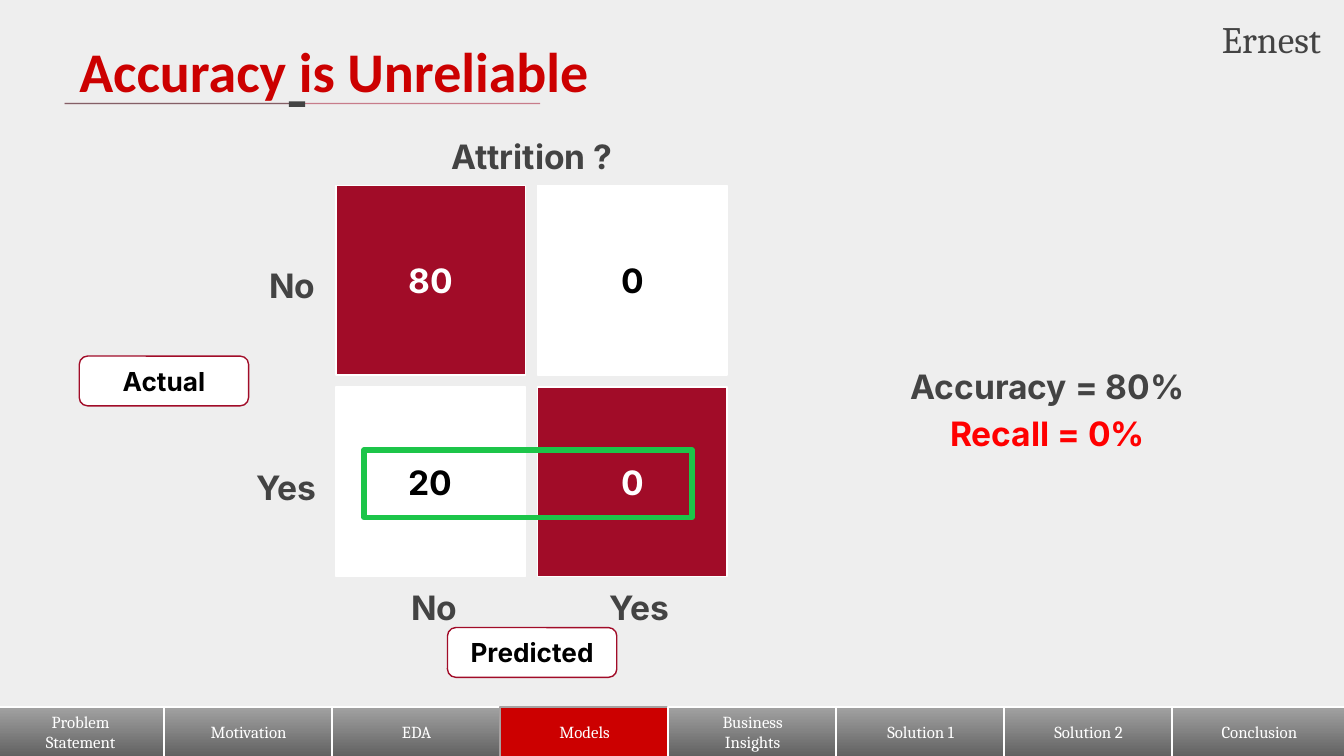
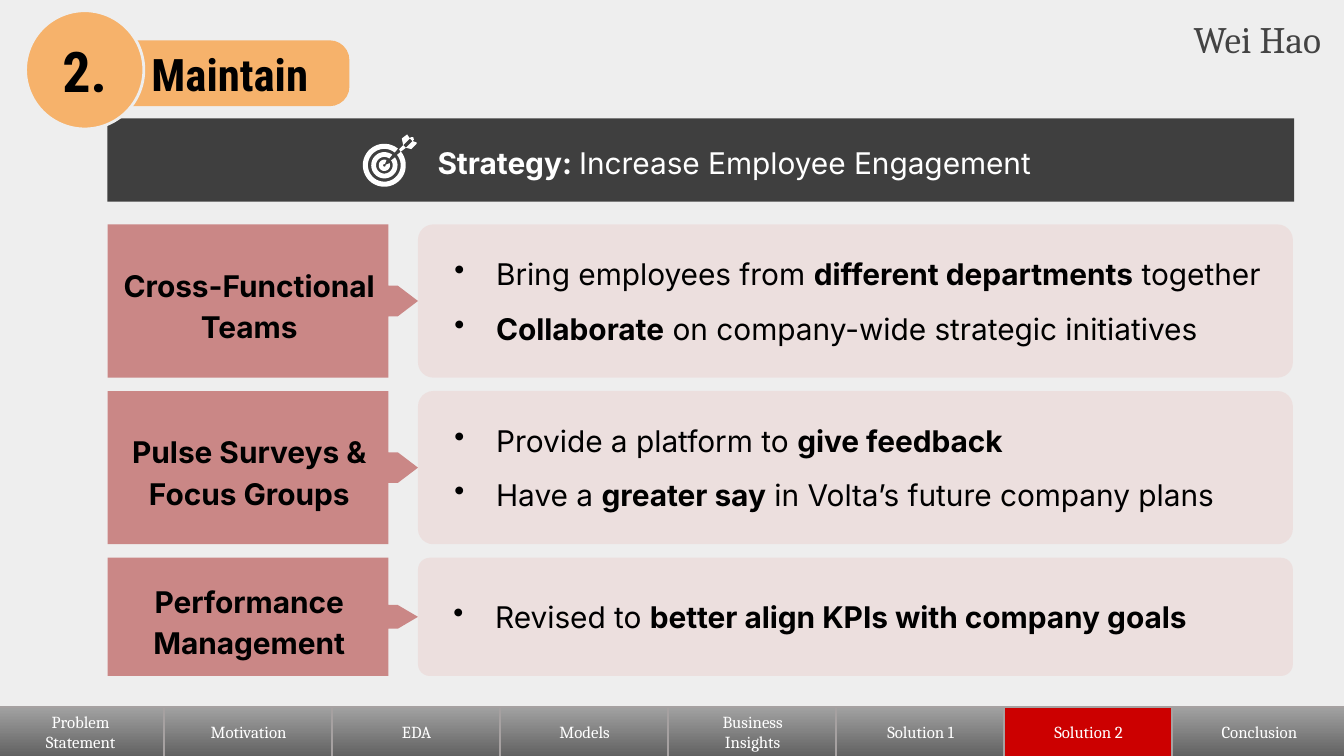
from dataclasses import dataclass
from math import cos, pi, sin

from lxml.etree import SubElement
from pptx import Presentation
from pptx.dml.color import RGBColor
from pptx.enum.shapes import MSO_CONNECTOR, MSO_SHAPE as SHAPE
from pptx.enum.text import MSO_ANCHOR as ANCHOR, MSO_AUTO_SIZE as AUTO_SIZE, PP_ALIGN as ALIGN
from pptx.oxml.ns import qn
from pptx.util import Inches, Pt

# The grid has square cells of a tenth of an inch.
COLUMNS, ROWS = 100, 56.25
TITLE_ONLY, BLANK = 5, 6

WHITE = RGBColor(0xFF, 0xFF, 0xFF)
BLACK = RGBColor(0x00, 0x00, 0x00)
PAPER = RGBColor(0xEE, 0xEE, 0xEE)
INK = RGBColor(0x43, 0x43, 0x43)
CHARCOAL = RGBColor(0x3F, 0x3F, 0x3F)
RED = RGBColor(0xCC, 0x00, 0x00)
BRIGHT_RED = RGBColor(0xFF, 0x00, 0x00)
CRIMSON = RGBColor(0xA1, 0x0C, 0x28)
GREEN = RGBColor(0x1C, 0xC5, 0x49)
ORANGE = RGBColor(0xF6, 0xB2, 0x6B)
ROSE = RGBColor(0xCA, 0x87, 0x86)
CORAL = RGBColor(0xE3, 0x80, 0x75)
TAB_LINE = RGBColor(0xA6, 0xA1, 0xA1)
TAB_TOP = RGBColor(0xA2, 0xA2, 0xA2)
TAB_BOTTOM = RGBColor(0x61, 0x61, 0x61)

SECTIONS = ["Problem\nStatement", "Motivation", "EDA", "Models",
            "Business\nInsights", "Solution 1", "Solution 2", "Conclusion"]
MATRIX = [[80, 0], [20, 0]]
ACTIONS = [
    ("Cross-Functional Teams", 11.4,
     ["Bring employees from *different departments* together",
      "*Collaborate* on company-wide strategic initiatives"]),
    ("Pulse Surveys & Focus Groups", 11.4,
     ["Provide a platform to *give feedback*",
      "Have a *greater say* in Volta’s future company plans"]),
    ("Performance Management", 8.8,
     ["Revised to *better align KPIs with company goals*"]),
]


@dataclass(frozen=True)
class Style:
    font: str
    size: float
    color: RGBColor
    bold: bool = False


TAB = Style("Cambria", 9, WHITE)
AUTHOR = Style("Cambria", 20, INK)
TITLE = Style("Calibri", 30, RED, True)
LABEL = Style("Inter", 18, INK, True)
KEY = Style("Inter", 14, BLACK, True)
BODY = Style("Inter", 16, BLACK)
BODY_BOLD = Style("Inter", 16, BLACK, True)
BANNER = Style("Inter", 16, WHITE)


def grid(*cells):
    return [Inches(cell / 10) for cell in cells]


def format_run(run, style, bold=None):
    font = run.font
    font.name, font.size = style.font, Pt(style.size)
    font.color.rgb = style.color
    font.bold = style.bold if bold is None else bold


def write(shape, text, style, align=ALIGN.CENTER, anchor=ANCHOR.MIDDLE,
          spacing=None, margins=(1, 1)):
    frame = shape.text_frame
    frame.text = text
    frame.word_wrap = True
    frame.vertical_anchor = anchor
    frame.margin_left = frame.margin_right = grid(margins[0])[0]
    frame.margin_top = frame.margin_bottom = grid(margins[1])[0]
    for paragraph in frame.paragraphs:
        paragraph.alignment = align
        if spacing:
            paragraph.line_spacing = spacing
        for run in paragraph.runs:
            format_run(run, style)


def emphasize(paragraph, style):
    """Turn the *marked* parts of a paragraph into bold runs."""
    parts = paragraph.text.split("*")
    paragraph.text = ""
    for index, part in enumerate(parts):
        if part:
            run = paragraph.add_run()
            run.text = part
            format_run(run, style, index % 2 == 1)


def indent(paragraph, margin, first_line):
    properties = paragraph._p.get_or_add_pPr()
    properties.set("marL", str(grid(margin)[0]))
    properties.set("indent", str(grid(first_line)[0]))
    return properties


def add_bullet(paragraph):
    properties = indent(paragraph, 4.5, -3.1)
    color = SubElement(properties, qn("a:buClr"))
    SubElement(color, qn("a:srgbClr")).set("val", str(BLACK))
    SubElement(properties, qn("a:buChar")).set("char", "•")


def set_opacity(shape, percent):
    for color in shape.element.spPr.iter(qn("a:srgbClr")):
        SubElement(color, qn("a:alpha")).set("val", str(percent * 1000))


def paint(shape, fill=None, line=None, width=0.75):
    shape.shadow.inherit = False
    if fill is None:
        shape.fill.background()
    else:
        shape.fill.solid()
        shape.fill.fore_color.rgb = fill
    if line is None:
        shape.line.fill.background()
    else:
        shape.line.color.rgb = line
        shape.line.width = Pt(width)


def add_box(shapes, box, kind=SHAPE.RECTANGLE, fill=None, line=None, width=0.75, corner=None):
    shape = shapes.add_shape(kind, *grid(*box))
    if corner is not None:
        shape.adjustments[0] = corner
    paint(shape, fill, line, width)
    return shape


def add_text(shapes, box, text, style, **options):
    shape = shapes.add_textbox(*grid(*box))
    write(shape, text, style, anchor=ANCHOR.TOP, **options)
    shape.text_frame.auto_size = AUTO_SIZE.SHAPE_TO_FIT_TEXT
    return shape


def add_polygon(shapes, points, fill):
    corners = [grid(*point) for point in points]
    builder = shapes.build_freeform(*corners[0])
    builder.add_line_segments(corners[1:], close=True)
    paint(builder.convert_to_shape(), fill)


def add_rule(shapes, left, right, y, color):
    rule = shapes.add_connector(MSO_CONNECTOR.STRAIGHT, *grid(left, y, right, y))
    rule.line.color.rgb = color
    rule.line.width = Pt(0.75)
    SubElement(rule.element.spPr, qn("a:effectLst"))
    set_opacity(rule, 50)


def add_footer(shapes, active, line):
    pitch = 12.5
    for index, section in enumerate(SECTIONS):
        is_active = section == active
        width = 13 if section == SECTIONS[-1] else 12.6
        tab = add_box(shapes, (pitch * index - 0.3, 52.6, width, 3.7), SHAPE.SNIP_1_RECTANGLE,
                      RED, TAB_LINE if is_active else line, corner=0)
        if not is_active:
            tab.fill.gradient()
            tab.fill.gradient_angle = 270
            for stop, color in zip(tab.fill.gradient_stops, (TAB_TOP, TAB_BOTTOM)):
                stop.color.rgb = color
        write(tab, section, TAB, margins=(0.7, 0.4))


def add_frame(presentation, layout, active, author, line):
    """Add a slide with the section tabs and the author's name."""
    slide = presentation.slides.add_slide(presentation.slide_layouts[layout])
    add_footer(slide.shapes, active, line)
    add_text(slide.shapes, (84.9, 0.8, 14.1, 4.1), author, AUTHOR,
             align=ALIGN.RIGHT, margins=(0.7, 0.4))
    return slide


def add_title(slide, text):
    title = slide.shapes.title
    title.left, title.top, title.width, title.height = grid(4.9, 1.7, 84.3, 6.3)
    write(title, text, TITLE, align=ALIGN.LEFT, anchor=ANCHOR.TOP)
    title.text_frame.auto_size = AUTO_SIZE.NONE
    underline = slide.shapes.add_group_shape().shapes
    add_rule(underline, 4.8, 40.2, 7.7, CRIMSON)
    add_rule(underline, 4.8, 21.5, 7.7, INK)
    add_box(underline, (21.5, 7.55, 1.2, 0.4), fill=INK)


def add_matrix(shapes):
    left, top, cell, pitch = 25, 13.8, 14.1, 15
    for row, values in enumerate(MATRIX):
        for column, value in enumerate(values):
            fill, color = (CRIMSON, WHITE) if row == column else (WHITE, BLACK)
            square = add_box(shapes, (left + pitch * column, top + pitch * row, cell, cell),
                             fill=fill, line=WHITE)
            write(square, str(value), Style("Inter", 18, color, True))
    for index, (answer, width) in enumerate((("No", 6.5), ("Yes", 7.4))):
        offset = pitch * index
        add_text(shapes, (left - width, 18.3 + offset, width, 5), answer, LABEL, spacing=1.15)
        add_text(shapes, (32.3 + 15.3 * index - width / 2, 42.2, width, 5),
                 answer, LABEL, spacing=1.15)
    for text, x, y in (("Actual", 5.9, 26.5), ("Predicted", 33.3, 46.7)):
        key = add_box(shapes, (x, y, 12.6, 3.7), SHAPE.ROUNDED_RECTANGLE, WHITE, CRIMSON)
        write(key, text, KEY)
    add_text(shapes, (30.3, 8.7, 18.6, 5), "Attrition ?", LABEL, spacing=1.15)
    add_box(shapes, (27.1, 33.5, 24.4, 5), line=GREEN, width=3)


def add_open_ring(shapes, center, outer, inner, gap):
    """Draw a ring that is open towards the upper right."""
    steps = 40
    angles = [-pi / 4 + gap + (2 * pi - 2 * gap) * step / steps for step in range(steps + 1)]
    arcs = [(outer, angles), (inner, angles[::-1])]
    points = [(center[0] + radius * cos(angle), center[1] + radius * sin(angle))
              for radius, turn in arcs for angle in turn]
    add_polygon(shapes, points, WHITE)


def add_target(slide):
    icon = slide.shapes.add_group_shape().shapes
    for outer, inner, gap in ((1.6, 1.22, 0.1), (0.98, 0.62, 0.15), (0.42, 0.1, 0.4)):
        add_open_ring(icon, (28.6, 12.3), outer, inner, gap)
    dart = [
        [(30, 10.8), (29.7, 11.1), (29.8, 11.3), (30.2, 11)],
        [(30.3, 10), (29.9, 10.3), (30, 10.8), (30.5, 10.3)],
        [(30.7, 10.5), (30.2, 11), (30.6, 11.1), (31, 10.7), (31, 10.6)],
        [(30.6, 10.2), (30.5, 10.3), (30.7, 10.5), (30.8, 10.4), (30.75, 10.2)],
    ]
    for points in dart:
        add_polygon(icon, points, WHITE)


def add_action(shapes, top, height, label, bullets):
    left, edge, neck, tip = 8, 28.9, 29.6, 31.1
    middle, bottom, half = top + height / 2, top + height, height / 10
    panel = add_box(shapes, (tip, top, 65.1, height), SHAPE.ROUNDED_RECTANGLE,
                    CORAL, corner=0.1)
    set_opacity(panel, 13)
    write(panel, "\n".join(bullets), BODY, align=ALIGN.LEFT)
    for index, paragraph in enumerate(panel.text_frame.paragraphs):
        add_bullet(paragraph)
        if index:
            paragraph.space_before = Pt(10)
        emphasize(paragraph, BODY)
    add_polygon(shapes, [(left, top), (edge, top), (edge, middle - half), (neck, middle - half),
                         (tip, middle), (neck, middle + half), (edge, middle + half),
                         (edge, bottom), (left, bottom)], ROSE)
    add_text(shapes, (left, middle - 3.9, 21.1, 7.8), label, BODY_BOLD, spacing=1.15)


def add_heading(shapes, number, text):
    pill = add_box(shapes, (8.2, 3, 17.8, 4.9), SHAPE.ROUNDED_RECTANGLE, ORANGE, corner=0.3)
    write(pill, text, Style("Roboto Condensed", 24, BLACK, True))
    badge = add_box(shapes, (1.9, 0.8, 8.8, 8.8), SHAPE.OVAL, ORANGE, PAPER, 1.5)
    write(badge, number, Style("Roboto Condensed", 30, BLACK, True))


def build_accuracy_slide(presentation):
    slide = add_frame(presentation, TITLE_ONLY, "Models", "Ernest", WHITE)
    add_title(slide, "Accuracy is Unreliable")
    add_matrix(slide.shapes)
    scores = add_text(slide.shapes, (60.3, 25.8, 35.3, 8.5),
                      "Accuracy = 80%\nRecall = 0%", LABEL, spacing=1.15)
    scores.text_frame.paragraphs[1].runs[0].font.color.rgb = BRIGHT_RED


def build_maintain_slide(presentation):
    slide = add_frame(presentation, BLANK, "Solution 2", "Wei Hao", TAB_LINE)
    banner = add_box(slide.shapes, (8, 8.8, 88.3, 6.2), fill=CHARCOAL)
    write(banner, "*Strategy: *Increase Employee Engagement", BANNER, spacing=1.15)
    strategy = banner.text_frame.paragraphs[0]
    indent(strategy, 0, 5)
    emphasize(strategy, BANNER)
    add_target(slide)
    top, gap = 16.7, 1
    for label, height, bullets in ACTIONS:
        add_action(slide.shapes, top, height, label, bullets)
        top += height + gap
    add_heading(slide.shapes, "2.", "Maintain")


def main():
    presentation = Presentation()
    presentation.slide_width, presentation.slide_height = grid(COLUMNS, ROWS)
    background = presentation.slide_master.background.fill
    background.solid()
    background.fore_color.rgb = PAPER
    build_accuracy_slide(presentation)
    build_maintain_slide(presentation)
    presentation.save("out.pptx")


if __name__ == "__main__":
    main()
